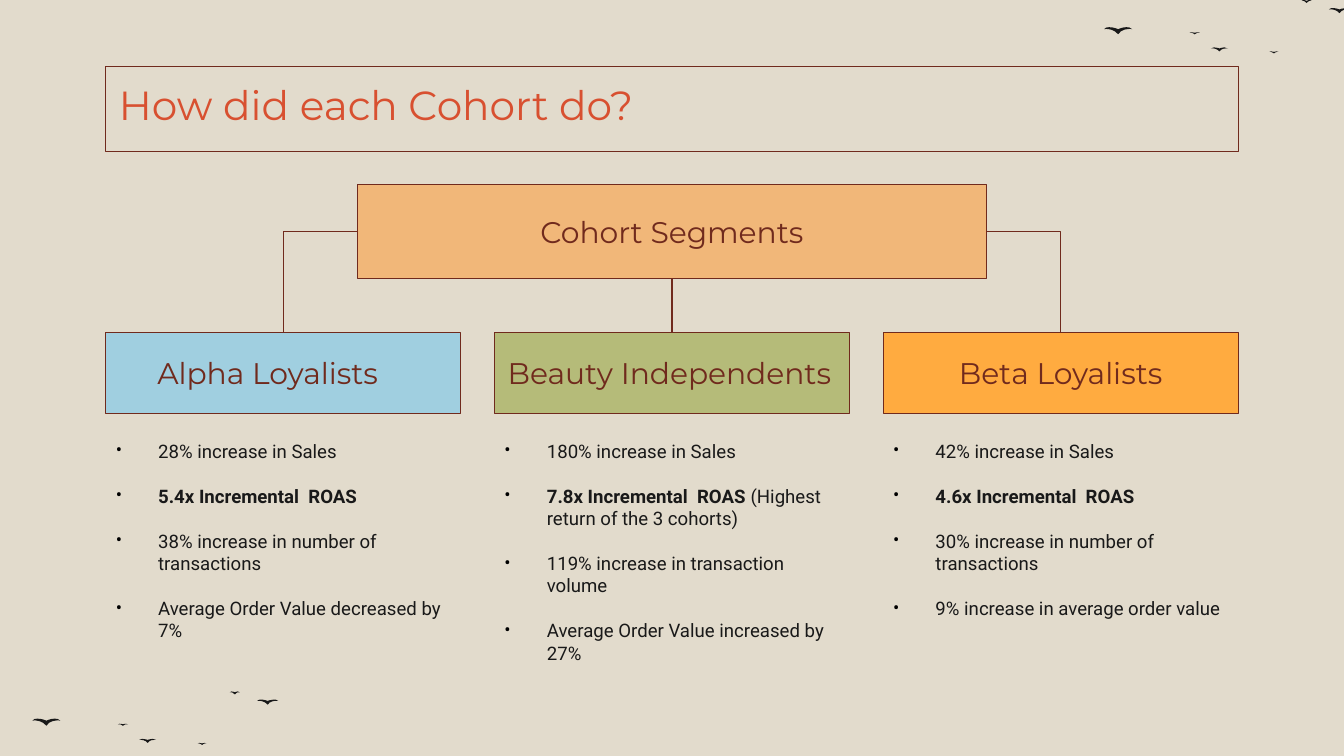
from lxml import etree
from pptx import Presentation
from pptx.dml.color import RGBColor
from pptx.enum.shapes import MSO_CONNECTOR as Link, MSO_SHAPE as Preset
from pptx.enum.text import MSO_ANCHOR as Anchor, PP_ALIGN as Align
from pptx.oxml.ns import qn
from pptx.util import Inches, Pt

SAND, BROWN, RED, INK = "E2DBCC", "702A1D", "D85030", "191919"
TOP, LEFT, BOTTOM, RIGHT = range(4)

# Bird outline in a unit square: start point, then cubic curves
BIRD_START = (0.79, 0)
BIRD_CURVES = [
    ((0.86, 0), (0.93, 0), (1, 0.29)),
    ((1, 0.29), (0.96, 0.25), (0.93, 0.25)),
    ((0.82, 0.25), (0.61, 0.29), (0.5, 1)),
    ((0.36, 0.29), (0.14, 0.25), (0.07, 0.25)),
    ((0, 0.25), (0, 0.29), (0, 0.29)),
    ((0.04, 0.05), (0.11, 0), (0.18, 0)),
    ((0.36, 0), (0.5, 0.29), (0.5, 0.29)),
    ((0.5, 0.29), (0.64, 0), (0.79, 0)),
]
# Left, top, width, height of each bird within its flock
FLOCK = [
    (1.06, 0.47, 0.17, 0.04), (2.23, 0.08, 0.21, 0.05), (0, 0.27, 0.28, 0.07),
    (0.85, 0.32, 0.1, 0.02), (1.64, 0.51, 0.09, 0.02), (1.96, 0, 0.1, 0.03),
]

# Name, fill, bullets made of (text, bold) runs
COHORTS = [
    ("Alpha Loyalists\t", "A0CFE0", [
        [("28% increase in Sales", False)],
        [("5.4x Incremental  ROAS", True)],
        [("38% increase in number of transactions", False)],
        [("Average Order Value decreased by 7%", False)]]),
    ("Beauty Independents\t", "B5BB79", [
        [("180% increase in Sales", False)],
        [("7.8x Incremental  ROAS", True),
         (" (Highest return of the 3 cohorts)", False)],
        [("119% increase in transaction volume", False)],
        [("Average Order Value increased by 27%", False)]]),
    ("Beta Loyalists", "FFAB40", [
        [("42% increase in Sales", False)],
        [("4.6x Incremental  ROAS", True)],
        [("30% increase in number of transactions", False)],
        [("9% increase in average order value", False)]]),
]


def color(hex_text):
    return RGBColor.from_string(hex_text)


def paint(part, fill):
    part.shadow.inherit = False
    part.fill.solid()
    part.fill.fore_color.rgb = color(fill)


def add_span(para, text, font, size, hex_text, bold=False):
    span = para.add_run()
    span.text = text
    span.font.name = font
    span.font.size = Pt(size)
    span.font.bold = bold
    span.font.color.rgb = color(hex_text)


def set_insets(frame, across, down):
    frame.word_wrap = True
    frame.margin_left = frame.margin_right = Inches(across)
    frame.margin_top = frame.margin_bottom = Inches(down)


def add_panel(page, area, text, fill, size=21.3, hex_text=BROWN,
              align=Align.CENTER, anchor=Anchor.MIDDLE):
    panel = page.shapes.add_shape(Preset.RECTANGLE, *map(Inches, area))
    paint(panel, fill)
    panel.line.color.rgb = color(BROWN)
    panel.line.width = Pt(0.75)
    frame = panel.text_frame
    set_insets(frame, 0.13, 0.13)
    frame.vertical_anchor = anchor
    para = frame.paragraphs[0]
    para.alignment = align
    add_span(para, text, "Montserrat", size, hex_text)
    return panel


def add_bullets(page, area, items):
    box = page.shapes.add_textbox(*map(Inches, area))
    frame = box.text_frame
    set_insets(frame, 0.1, 0.05)
    for index, item in enumerate(items):
        para = frame.paragraphs[0] if index == 0 else frame.add_paragraph()
        para.space_after = Pt(16.2)
        for text, bold in item:
            add_span(para, text, "Roboto", 13.3, INK, bold)
        # Black bullet with a hanging indent
        props = para._p.get_or_add_pPr()
        props.set("marL", str(Inches(0.42)))
        props.set("indent", str(-Inches(0.42)))
        bullet_color = etree.SubElement(props, qn("a:buClr"))
        etree.SubElement(bullet_color, qn("a:srgbClr")).set("val", "000000")
        etree.SubElement(props, qn("a:buFont")).set("typeface", "Roboto")
        etree.SubElement(props, qn("a:buChar")).set("char", "•")


def add_link(page, kind, start, start_side, end):
    link = page.shapes.add_connector(kind, 0, 0, 0, 0)
    link.begin_connect(start, start_side)
    link.end_connect(end, TOP)
    link.line.color.rgb = color(BROWN)
    link.line.width = Pt(0.75)
    props = link._element.spPr
    etree.SubElement(props, qn("a:effectLst"))
    if kind == Link.ELBOW:  # a single bend
        props.find(qn("a:prstGeom")).set("prst", "bentConnector2")


def add_bird(page, left, top, width, height):
    def place(point):
        return Inches(left + width * point[0]), Inches(top + height * point[1])

    builder = page.shapes.build_freeform(*place(BIRD_START))
    builder.add_line_segments([place(curve[2]) for curve in BIRD_CURVES])
    bird = builder.convert_to_shape()
    paint(bird, INK)
    bird.line.fill.background()
    # Bend each segment by putting its two control points before its end
    segments = list(bird._element.iter(qn("a:lnTo")))
    for segment, curve in zip(segments, BIRD_CURVES):
        segment.tag = qn("a:cubicBezTo")
        for index, control in enumerate(curve[:2]):
            x, y = place(control)
            point = etree.Element(qn("a:pt"))
            point.set("x", str(x - bird.left))
            point.set("y", str(y - bird.top))
            segment.insert(index, point)


def add_flock(page, left, top):
    for x, y, width, height in FLOCK:
        add_bird(page, left + x, top + y, width, height)


def add_cohorts(page, left, top, width):
    # Root of the tree
    root_width = 6.24
    root = add_panel(page, (left + (width - root_width) / 2, top,
                            root_width, 0.93), "Cohort Segments", "F1B779")
    column = 3.52
    pitch = (width - column) / 2
    links = [(Link.ELBOW, LEFT), (Link.STRAIGHT, BOTTOM), (Link.ELBOW, RIGHT)]
    # One branch per cohort
    for index, (name, fill, items) in enumerate(COHORTS):
        x = left + index * pitch
        head = add_panel(page, (x, top + 1.47, column, 0.8), name, fill)
        kind, side = links[index]
        add_link(page, kind, root, side, head)
        add_bullets(page, (x, top + 2.48, column, 3.08), items)


def main():
    deck = Presentation()
    deck.slide_width, deck.slide_height = Inches(13.33), Inches(7.5)
    page = deck.slides.add_slide(deck.slide_layouts[6])
    page.background.fill.solid()
    page.background.fill.fore_color.rgb = color(SAND)

    # Birds in two corners
    add_flock(page, 0.32, 6.86)
    add_flock(page, 10.95, 0)
    # Title
    add_panel(page, (1.05, 0.66, 11.23, 0.84), "How did each Cohort do?", SAND,
              29, RED, Align.LEFT, Anchor.TOP)
    # Cohort tree
    add_cohorts(page, 1.05, 1.83, 11.23)
    deck.save("out.pptx")


if __name__ == "__main__":
    main()
